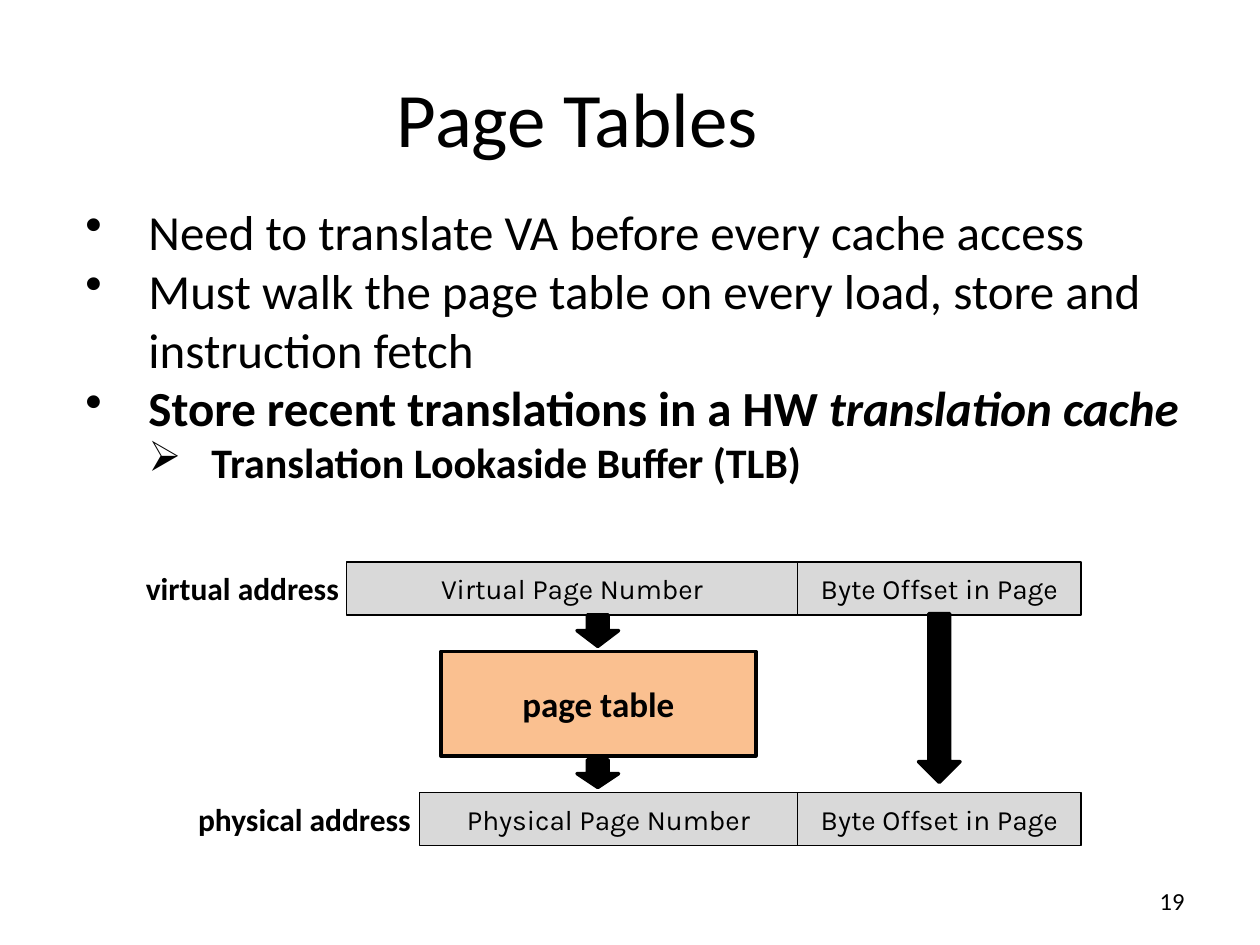
from lxml.etree import SubElement
from pptx import Presentation
from pptx.dml.color import RGBColor
from pptx.enum.shapes import MSO_SHAPE
from pptx.enum.text import MSO_ANCHOR, PP_ALIGN
from pptx.oxml.ns import qn
from pptx.util import Inches, Pt

COLORS = {"ink": "000000", "field": "D9D9D9", "table": "FAC090"}


def write(paragraph, text, size=18, font="Calibri", bold=False, italic=False, align=None):
    if align is not None:
        paragraph.alignment = align
    run = paragraph.add_run()
    run.text = text
    run.font.size = Pt(size)
    run.font.name = font
    run.font.bold = bold
    run.font.italic = italic
    run.font.color.rgb = RGBColor.from_string(COLORS["ink"])


def add_block(kind, left, top, width, height, fill, line_width):
    block = slide.shapes.add_shape(kind, Inches(left), Inches(top), Inches(width), Inches(height))
    block.shadow.inherit = False
    block.fill.solid()
    block.fill.fore_color.rgb = RGBColor.from_string(COLORS[fill])
    block.line.color.rgb = RGBColor.from_string(COLORS["ink"])
    block.line.width = Pt(line_width)
    block.text_frame.vertical_anchor = MSO_ANCHOR.MIDDLE
    return block.text_frame


prs = Presentation()
prs.slide_width, prs.slide_height = Inches(10), Inches(7.5)
slide = prs.slides.add_slide(prs.slide_layouts[6])

# Title, page number and address labels
for text, left, top, width, height, style in [
    ("Page Tables", 0.5, 0.3, 8.17, 1.25, {"size": 44, "align": PP_ALIGN.CENTER}),
    ("19", 8.33, 6.95, 1.17, 0.4, {"size": 14, "align": PP_ALIGN.RIGHT}),
    ("virtual address", 0.83, 4.42, 1.96, 0.5, {"bold": True, "align": PP_ALIGN.RIGHT}),
    ("physical address", 1.4, 6.25, 1.96, 0.5, {"bold": True, "align": PP_ALIGN.RIGHT}),
]:
    label = slide.shapes.add_textbox(Inches(left), Inches(top), Inches(width), Inches(height))
    label.text_frame.word_wrap = True
    label.text_frame.vertical_anchor = MSO_ANCHOR.MIDDLE
    write(label.text_frame.paragraphs[0], text, **style)

# Bullets: level, mark, size, runs of (text, bold, italic)
bullets = [
    (0, "•", 28, [("Need to translate VA before every cache access", False, False)]),
    (0, "•", 28, [("Must walk the page table on every load, store and instruction fetch", False, False)]),
    (0, "•", 28, [("Store recent translations in a HW ", True, False), ("translation cache", True, True)]),
    (1, "➢", 24, [("Translation Lookaside Buffer (TLB)", True, False)]),
]
body = slide.shapes.add_textbox(Inches(0.58), Inches(1.55), Inches(9.09), Inches(5.83)).text_frame
body.word_wrap = True
for index, (level, mark, size, runs) in enumerate(bullets):
    paragraph = body.add_paragraph() if index else body.paragraphs[0]
    paragraph.level = level
    properties = paragraph._p.get_or_add_pPr()
    properties.set("marL", str(Inches(0.5 * (level + 1))))
    properties.set("indent", str(Inches(-0.5)))
    SubElement(properties, qn("a:buChar")).set("char", mark)
    for text, bold, italic in runs:
        write(paragraph, text, size=size, bold=bold, italic=italic)

# Address fields: both rows share the offset column
OFFSET_LEFT, OFFSET_WIDTH, FIELD_HEIGHT = 6.33, 2.25, 0.42
for page_number, left, top in [("Virtual Page Number", 2.75, 4.46), ("Physical Page Number", 3.33, 6.29)]:
    for text, field_left, width in [
        (page_number, left, OFFSET_LEFT - left),
        ("Byte Offset in Page", OFFSET_LEFT, OFFSET_WIDTH),
    ]:
        field = add_block(MSO_SHAPE.RECTANGLE, field_left, top, width, FIELD_HEIGHT, "field", 1)
        field.word_wrap = False
        write(field.paragraphs[0], text, size=16, font="Karla", align=PP_ALIGN.CENTER)

page_table = add_block(MSO_SHAPE.RECTANGLE, 3.5, 5.17, 2.5, 0.83, "table", 2)
write(page_table.paragraphs[0], "page table", size=20, bold=True, align=PP_ALIGN.CENTER)

for left, top, height in [(4.58, 4.88, 0.25), (4.58, 6.03, 0.22), (7.29, 4.87, 1.34)]:
    add_block(MSO_SHAPE.DOWN_ARROW, left, top, 0.33, height, "ink", 2)

prs.save("out.pptx")
